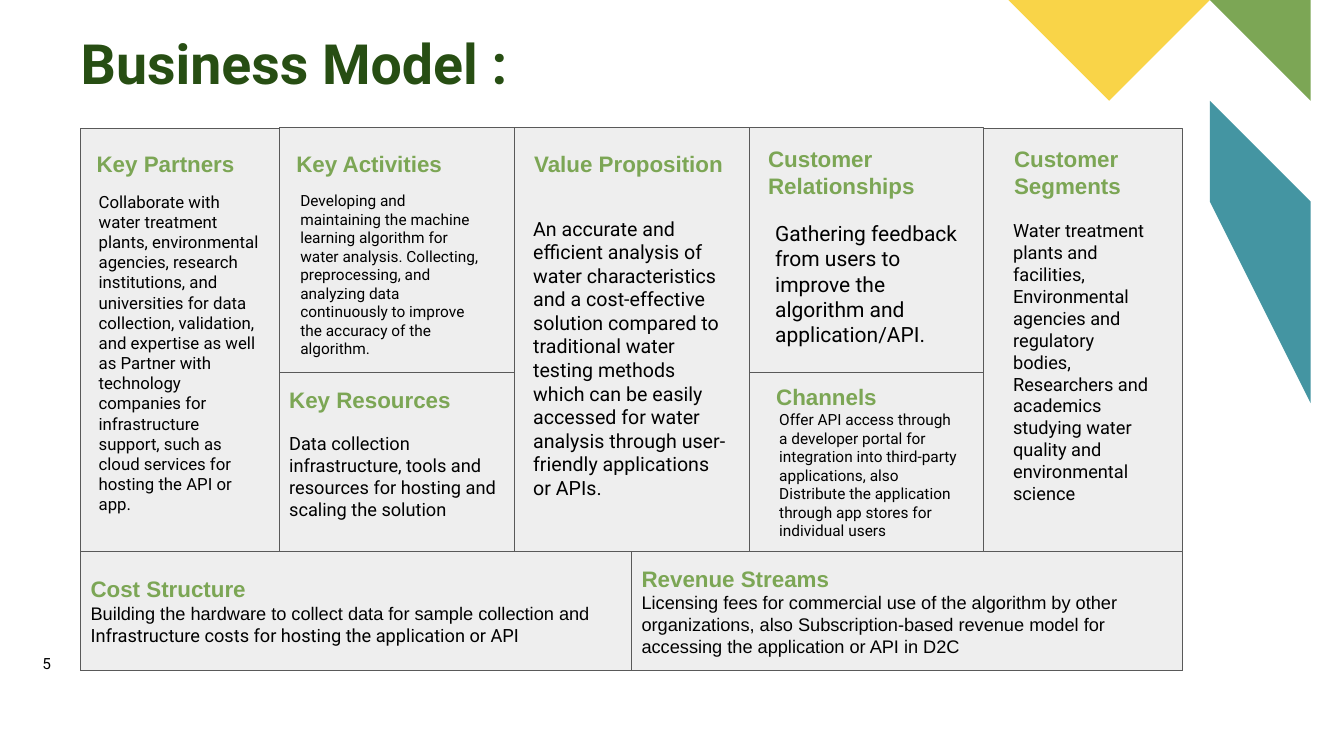
from collections import namedtuple
from dataclasses import dataclass

from pptx import Presentation
from pptx.dml.color import RGBColor
from pptx.enum.shapes import MSO_SHAPE
from pptx.enum.text import MSO_ANCHOR, MSO_AUTO_SIZE, PP_ALIGN
from pptx.util import Inches, Pt


@dataclass(frozen=True)
class Theme:
    title_green: str = "274E13"
    green: str = "7CA655"
    yellow: str = "F9D448"
    teal: str = "4495A2"
    panel: str = "EEEEEE"
    border: str = "595959"
    text: str = "000000"
    heading_font: str = "Arial"
    body_font: str = "Roboto"
    title_size: float = 39.6
    heading_size: float = 16
    body_size: float = 13
    small_size: float = 11


THEME = Theme()
Box = namedtuple("Box", "left top width height")


def inside(box, left, top, width, height):
    return Box(box.left + left, box.top + top, width, height)


def lengths(box):
    return [Inches(value) for value in box]


def add_run(paragraph, text, size, font, color=THEME.text, bold=False):
    run = paragraph.add_run()
    run.text = text
    run.font.size = Pt(size)
    run.font.name = font
    run.font.bold = bold
    run.font.color.rgb = RGBColor.from_string(color)


def add_heading(paragraph, text):
    add_run(paragraph, text, THEME.heading_size, THEME.heading_font, THEME.green, True)


def set_frame(frame, inset, anchor=MSO_ANCHOR.TOP):
    frame.word_wrap = True
    frame.auto_size = MSO_AUTO_SIZE.NONE
    frame.vertical_anchor = anchor
    frame.margin_left = frame.margin_right = Inches(inset)
    frame.margin_top = frame.margin_bottom = Inches(inset)


def add_text_box(slide, box, inset=0.1):
    frame = slide.shapes.add_textbox(*lengths(box)).text_frame
    set_frame(frame, inset)
    return frame.paragraphs[0]


def add_cell(slide, box):
    shape = slide.shapes.add_shape(MSO_SHAPE.RECTANGLE, *lengths(box))
    shape.shadow.inherit = False
    shape.fill.solid()
    shape.fill.fore_color.rgb = RGBColor.from_string(THEME.panel)
    shape.line.color.rgb = RGBColor.from_string(THEME.border)
    shape.line.width = Pt(0.75)
    set_frame(shape.text_frame, 0.1, MSO_ANCHOR.MIDDLE)
    return shape.text_frame


def add_corner_shapes(slide):
    outlines = [
        (THEME.teal, [(13.33, 3.63), (13.33, 2.41), (12.12, 1.19), (11.5, 1.8)]),
        (THEME.green, [(13.33, 1.19), (13.33, 0), (12.15, 0)]),
        (THEME.yellow, [(9.7, 0), (10.89, 1.19), (12.09, 0)]),
    ]
    for color, points in outlines:
        builder = slide.shapes.build_freeform(*points[0], scale=Inches(1))
        builder.add_line_segments(points[1:], close=True)
        shape = builder.convert_to_shape()
        shape.shadow.inherit = False
        shape.fill.solid()
        shape.fill.fore_color.rgb = RGBColor.from_string(color)
        shape.line.fill.background()


def add_title(slide, box):
    title = slide.shapes.title
    title.left, title.top, title.width, title.height = lengths(box)
    set_frame(title.text_frame, 0, MSO_ANCHOR.BOTTOM)
    paragraph = title.text_frame.paragraphs[0]
    paragraph.alignment = PP_ALIGN.LEFT
    paragraph.line_spacing = 0.9
    add_run(paragraph, "Business Model :", THEME.title_size, THEME.body_font, THEME.title_green, True)


def add_topic(slide, box, heading, heading_box, body, body_box, size):
    add_heading(add_text_box(slide, inside(box, *heading_box)), heading)
    add_run(add_text_box(slide, inside(box, *body_box)), body, size, THEME.body_font)


def add_filled_cell(slide, box, heading, body_runs, gap=0, line_spacing=1, bottom=0.1):
    frame = add_cell(slide, box)
    frame.margin_bottom = Inches(bottom)
    first = frame.paragraphs[0]
    first.line_spacing = line_spacing
    add_heading(first, heading)
    second = frame.add_paragraph()
    second.space_before = Pt(gap)
    for text, font in body_runs:
        add_run(second, text, THEME.body_size, font)
    for paragraph in frame.paragraphs:
        paragraph.alignment = PP_ALIGN.LEFT


def add_columns(slide, box):
    outer, middle, split = 1.97, 2.33, 2.43
    lower_height = box.height - split
    partners = inside(box, 0, 0, outer, box.height)
    activities, value, relationships = [
        inside(box, outer + index * middle, 0, middle, box.height) for index in range(3)
    ]
    segments = inside(box, outer + 3 * middle, 0, outer, box.height)
    resources = inside(activities, 0, split, middle, lower_height)
    channels = inside(relationships, 0, split, middle, lower_height)

    for cell in (value, relationships, activities, channels):
        add_cell(slide, cell)
    add_filled_cell(
        slide, resources, "Key Resources",
        [("Data collection infrastructure, tools and resources for hosting and scaling the solution",
          THEME.body_font)],
        gap=14, line_spacing=1.2, bottom=0.34,
    )

    topics = [
        (partners, "Key Partners", (0.06, 0.12, 1.72, 0.36),
         "Collaborate with water treatment plants, environmental agencies, research institutions, "
         "and universities for data collection, validation, and expertise as well as Partner with "
         "technology companies for infrastructure support, such as cloud services for hosting the "
         "API or app.", (0.08, 0.53, 1.81, 3.4), 12),
        (activities, "Key Activities", (0.07, 0.12, 2.08, 0.27),
         "Developing and maintaining the machine learning algorithm for water analysis. Collecting, "
         "preprocessing, and analyzing data continuously to improve the accuracy of the algorithm.",
         (0.11, 0.53, 2.08, 1.77), THEME.small_size),
        (value, "Value Proposition", (0.1, 0.12, 2.13, 0.36),
         "An accurate and efficient analysis of water characteristics and a cost-effective solution "
         "compared to traditional water testing methods which can be easily accessed for water "
         "analysis through user-friendly applications or APIs.", (0.09, 0.78, 2.13, 3.09), 14),
        (relationships, "Customer Relationships", (0.09, 0.07, 2.13, 0.36),
         "Gathering feedback from users to improve the algorithm and application/API.",
         (0.16, 0.82, 2.01, 1.55), 15),
        (channels, "Channels", (0.17, 0, 1.6, 0.36),
         "Offer API access through a developer portal for integration into third-party "
         "applications, also Distribute the application through app stores for individual users",
         (0.2, 0.27, 2.01, 1.18), THEME.small_size),
        (segments, "Customer Segments", (0.2, 0.07, 1.6, 0.36),
         "Water treatment plants and facilities, Environmental agencies and regulatory bodies, "
         "Researchers and academics studying water quality and environmental science",
         (0.19, 0.81, 1.61, 3.09), THEME.body_size),
    ]
    for topic in topics:
        add_topic(slide, *topic)


def add_finances(slide, box):
    half = box.width / 2
    add_filled_cell(
        slide, inside(box, 0, 0, half, box.height), "Cost Structure",
        [("Building the hardware to collect data for sample collection and ", THEME.heading_font),
         ("Infrastructure costs for hosting the application or API", THEME.body_font)],
    )
    add_filled_cell(
        slide, inside(box, half, 0, half, box.height), "Revenue Streams",
        [("Licensing fees for commercial use of the algorithm by other organizations, also "
          "Subscription-based revenue model for accessing the application or API in D2C",
          THEME.heading_font)],
    )


def add_canvas(slide, box):
    columns_height = 4.2
    add_cell(slide, box)
    add_finances(slide, inside(box, 0, columns_height, box.width, box.height - columns_height))
    add_columns(slide, inside(box, 0, 0, box.width, columns_height))


def main():
    presentation = Presentation()
    presentation.slide_width = Inches(13.33)
    presentation.slide_height = Inches(7.5)
    slide = presentation.slides.add_slide(presentation.slide_layouts[5])
    add_corner_shapes(slide)
    add_title(slide, Box(0.8, 0.42, 4.59, 0.54))
    add_run(add_text_box(slide, Box(0.42, 6.49, 0.57, 0.27), 0), "5", THEME.small_size, THEME.body_font)
    add_canvas(slide, Box(0.8, 1.27, 10.93, 5.38))
    presentation.save("out.pptx")


if __name__ == "__main__":
    main()
